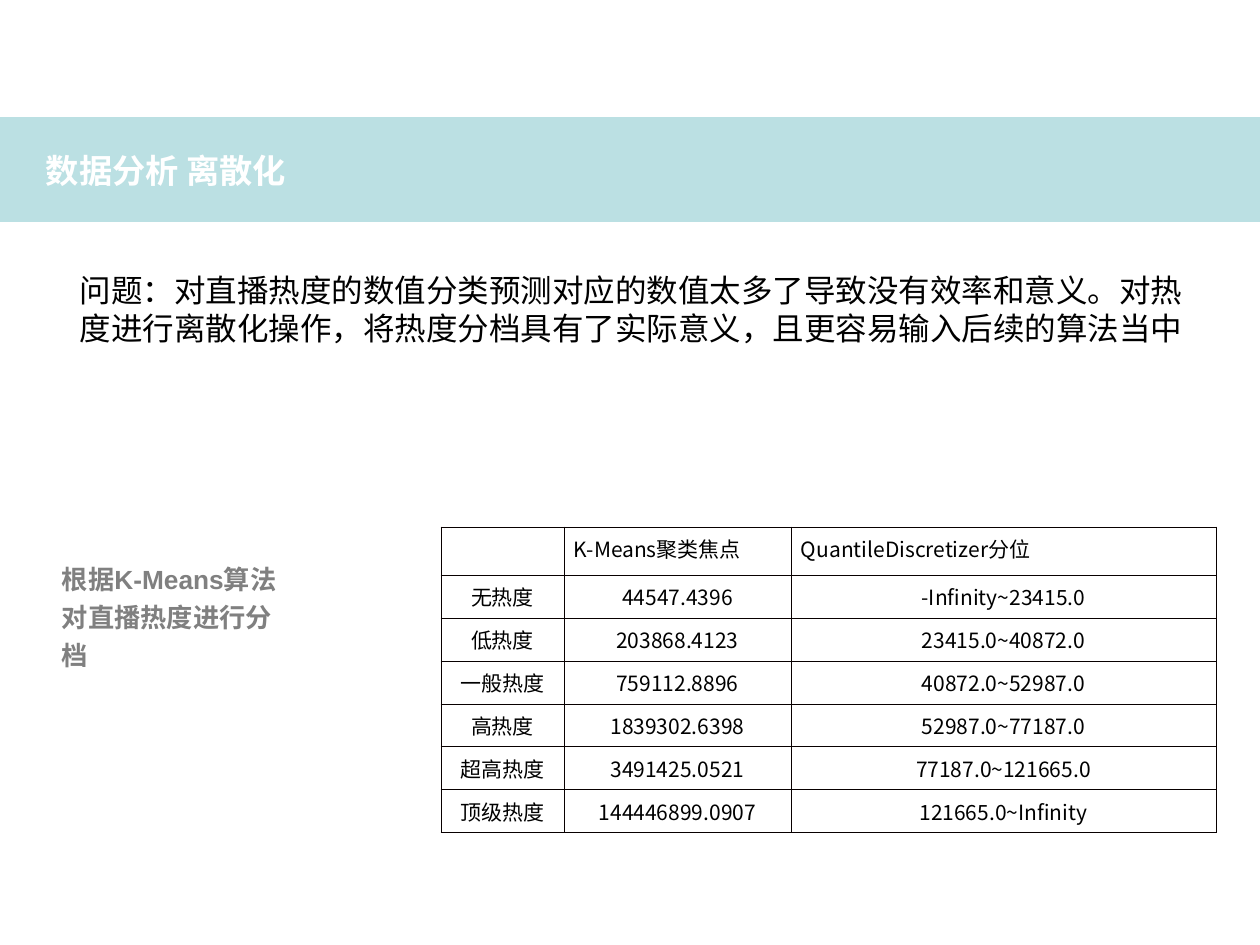
from dataclasses import dataclass
from pptx import Presentation
from pptx.dml.color import RGBColor as Rgb
from pptx.enum.lang import MSO_LANGUAGE_ID as Lang
from pptx.enum.shapes import MSO_SHAPE as Shape
from pptx.enum.text import MSO_ANCHOR as Anchor, MSO_AUTO_SIZE as Fit, PP_ALIGN as Align
from pptx.oxml import parse_xml
from pptx.oxml.ns import nsdecls, qn
from pptx.util import Pt

PX = 914400 / 126  # EMU in one px


@dataclass(frozen=True)
class Theme:
    band: str = "BBE0E3"
    white: str = "FFFFFF"
    ink: str = "000000"
    gray: str = "808080"
    rule: str = "080000"
    face: str = "Arial"
    cjk: str = "Noto Sans CJK SC"
    head: int = 19
    body: int = 18
    note: int = 15
    cell: int = 12
    line: float = 0.45


THEME = Theme()


def emu(*sizes):
    return [round(size * PX) for size in sizes]


def write(frame, text, size, color=THEME.ink, face=THEME.face, bold=False,
          align=Align.LEFT, lead=1.0, after=0):
    para = frame.paragraphs[0]
    para.alignment = align
    para.line_spacing = lead
    para.space_before, para.space_after = Pt(0), Pt(after)
    para.font.size = Pt(size)
    if not text:
        return
    run = para.add_run()
    run.text = text
    font = run.font
    font.size, font.bold, font.name = Pt(size), bold, face
    font.color.rgb = Rgb.from_string(color)
    font.language_id = Lang.SIMPLIFIED_CHINESE
    # East Asian face goes right after the Latin one
    east = parse_xml(f'<a:ea {nsdecls("a")} typeface="{THEME.cjk}"/>')
    run._r.get_or_add_rPr().find(qn("a:latin")).addnext(east)


class Page:
    def __init__(self, slide, theme):
        self.slide, self.theme = slide, theme

    def band(self, *box):
        bar = self.slide.shapes.add_shape(Shape.RECTANGLE, *emu(*box))
        bar.shadow.inherit = False
        bar.fill.solid()
        bar.fill.fore_color.rgb = Rgb.from_string(self.theme.band)
        bar.line.fill.background()
        self.slide.shapes.title.element.addprevious(bar.element)

    def fill(self, shape, box, text, pad, anchor, fit=Fit.NONE, **style):
        shape.left, shape.top, shape.width, shape.height = emu(*box)
        frame = shape.text_frame
        frame.word_wrap, frame.auto_size = True, fit
        frame.vertical_anchor = anchor
        frame.margin_left = frame.margin_right = emu(pad[0])[0]
        frame.margin_top = frame.margin_bottom = emu(pad[1])[0]
        write(frame, text, **style)

    def title(self, box, text, **style):
        self.fill(self.slide.shapes.title, box, text, **style)

    def text(self, box, text, **style):
        shape = self.slide.shapes.add_textbox(*emu(*box))
        self.fill(shape, box, text, **style)

    def edge(self, cell):
        props = cell._tc.get_or_add_tcPr()
        for place, side in enumerate("LRTB"):
            props.insert(place, parse_xml(
                f'<a:ln{side} {nsdecls("a")} w="{int(Pt(self.theme.line))}">'
                f'<a:solidFill><a:srgbClr val="{self.theme.rule}"/></a:solidFill>'
                f'</a:ln{side}>'))

    def table(self, left, top, cols, rows, data):
        box = emu(left, top, sum(cols), sum(rows))
        grid = self.slide.shapes.add_table(len(rows), len(cols), *box).table
        grid.first_row = grid.horz_banding = False
        for col, width in zip(grid.columns, emu(*cols)):
            col.width = width
        for row, high in zip(grid.rows, emu(*rows)):
            row.height = high
        for i, line in enumerate(data):
            for j, text in enumerate(line):
                cell = grid.cell(i, j)
                cell.fill.background()
                cell.margin_left = cell.margin_right = emu(10)[0]
                cell.margin_top = cell.margin_bottom = emu(6)[0]
                self.edge(cell)
                write(cell.text_frame, text, self.theme.cell, face=self.theme.cjk,
                      align=Align.CENTER if i else Align.LEFT)


def main():
    deck = Presentation()
    deck.slide_width, deck.slide_height = emu(1260, 945)
    page = Page(deck.slides.add_slide(deck.slide_layouts[5]), THEME)

    # Heading band; one en space parts the two words
    page.band(0, 117, 1260, 105)
    page.title((37, 144, 1187, 53), "数据分析 离散化", pad=(9, 5), anchor=Anchor.MIDDLE,
               size=THEME.head, color=THEME.white, bold=True)

    # Table of heat levels
    data = [
        ("", "K-Means聚类焦点", "QuantileDiscretizer分位"),
        ("无热度", "44547.4396", "-Infinity~23415.0"),
        ("低热度", "203868.4123", "23415.0~40872.0"),
        ("一般热度", "759112.8896", "40872.0~52987.0"),
        ("高热度", "1839302.6398", "52987.0~77187.0"),
        ("超高热度", "3491425.0521", "77187.0~121665.0"),
        ("顶级热度", "144446899.0907", "121665.0~Infinity"),
    ]
    page.table(441, 527, (123, 227, 425), [48] + [43] * 6, data)

    # Side note
    page.text((53, 527, 243, 174), "根据K-Means算法对直播热度进行分档", pad=(9, 5),
              anchor=Anchor.MIDDLE, size=THEME.note, color=THEME.gray, bold=True,
              lead=1.2, after=10)

    # Problem statement
    page.text((67, 265, 1149, 88),
              "问题：对直播热度的数值分类预测对应的数值太多了导致没有效率和意义。"
              "对热度进行离散化操作，将热度分档具有了实际意义，且更容易输入后续的算法当中",
              pad=(13, 6), anchor=Anchor.TOP, fit=Fit.SHAPE_TO_FIT_TEXT, size=THEME.body)

    deck.save("out.pptx")


if __name__ == "__main__":
    main()
